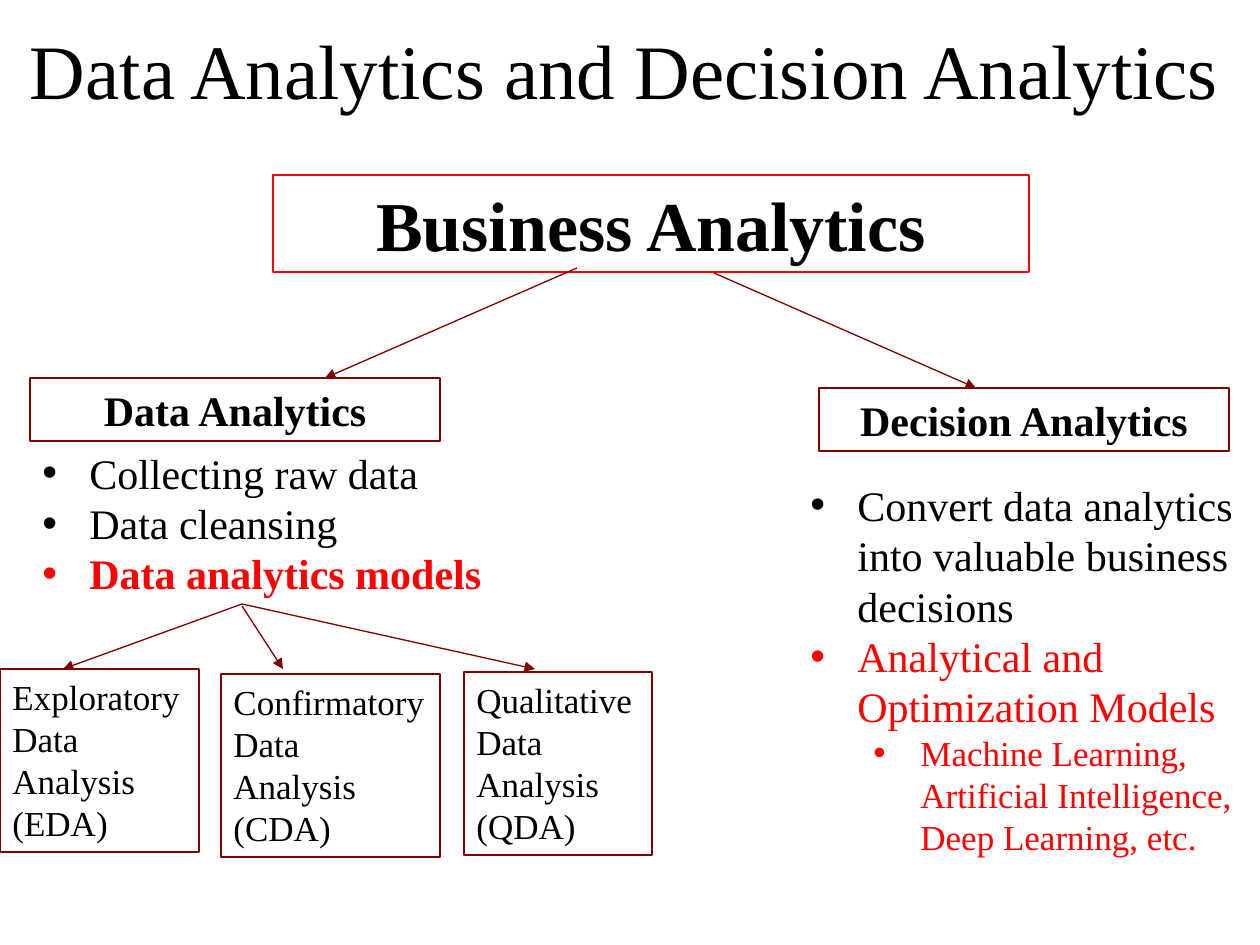
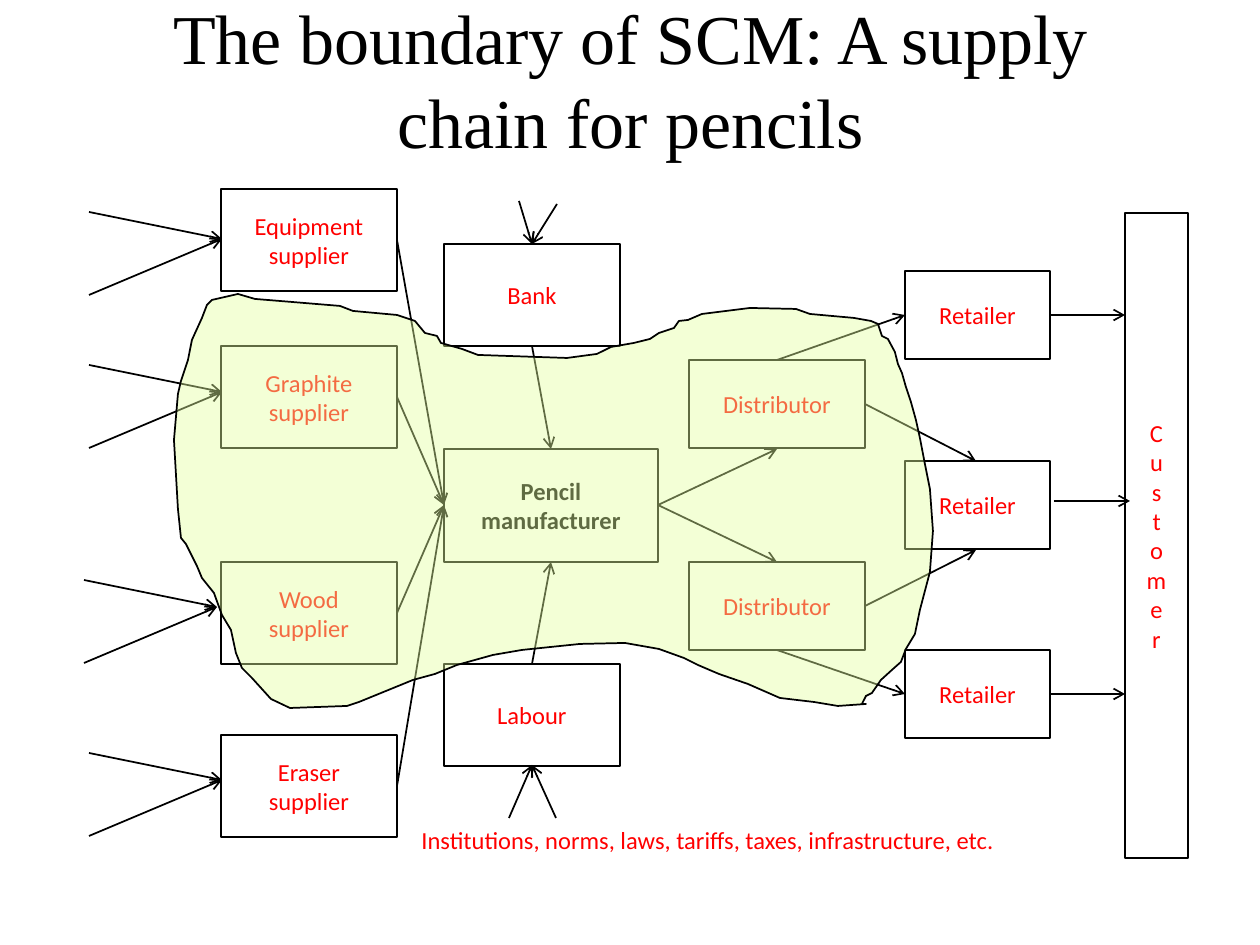
from dataclasses import dataclass
from typing import Any

from lxml import etree
from pptx import Presentation
from pptx import util as u
from pptx.dml.color import RGBColor
from pptx.enum import shapes, text
from pptx.oxml.ns import qn

PX = 914400 / 126
BLACK, RED, MAROON, LIME = "000000", "FF0000", "800000", "E4FF9F"
SERIF, SANS = "Times New Roman", "Calibri"
LEFT, CENTER = text.PP_ALIGN.LEFT, text.PP_ALIGN.CENTER
TOP, MIDDLE = text.MSO_ANCHOR.TOP, text.MSO_ANCHOR.MIDDLE


@dataclass(frozen=True)
class Area:
    """A rectangle in pixels."""
    x: int
    y: int
    w: int
    h: int

    def emu(self) -> list[int]:
        """Return left, top, width and height in EMU."""
        return [px(v) for v in (self.x, self.y, self.w, self.h)]


@dataclass(frozen=True)
class Node:
    """A labelled box of a diagram."""
    label: str
    area: Area
    size: int = 14
    color: str = RED
    bold: bool = False
    align: Any = CENTER
    line: str = MAROON


@dataclass(frozen=True)
class Item:
    """One bulleted paragraph."""
    label: str
    color: str = BLACK
    bold: bool = False
    size: int = 24
    level: int = 0


@dataclass(frozen=True)
class Arrow:
    """A straight arrow between two pixel positions."""
    x1: int
    y1: int
    x2: int
    y2: int


def px(value: float) -> int:
    """Turn pixels into EMU."""
    return round(value * PX)


def rgb(value: str) -> RGBColor:
    """Turn a hex string into a colour."""
    return RGBColor.from_string(value)


def write(p, label: str, *, size: int, font: str = SERIF, color: str = BLACK,
          bold: bool = False, align=LEFT) -> None:
    """Add a formatted run to a paragraph."""
    p.alignment = align
    r = p.add_run()
    r.text = label
    r.font.size, r.font.name, r.font.bold = u.Pt(size), font, bold
    r.font.color.rgb = rgb(color)


def add_title(prs, label: str, area: Area, size: int):
    """Add a title-only slide and format its title."""
    s = prs.slides.add_slide(prs.slide_layouts[5])
    sp = s.shapes.title
    sp.left, sp.top, sp.width, sp.height = area.emu()
    tf = sp.text_frame
    tf.auto_size, tf.word_wrap = text.MSO_AUTO_SIZE.NONE, True
    tf.vertical_anchor = MIDDLE
    write(tf.paragraphs[0], label, size=size, align=CENTER)
    return s


def add_box(s, node: Node, *, font: str, width: float, anchor, wrap: bool):
    """Draw an outlined box with its label, one paragraph per line."""
    sp = s.shapes.add_shape(shapes.MSO_SHAPE.RECTANGLE, *node.area.emu())
    sp.shadow.inherit = False
    sp.fill.background()
    sp.line.color.rgb, sp.line.width = rgb(node.line), u.Pt(width)
    tf = sp.text_frame
    tf.word_wrap, tf.vertical_anchor = wrap, anchor
    for i, label in enumerate(node.label.split("\n")):
        p = tf.add_paragraph() if i else tf.paragraphs[0]
        write(p, label, size=node.size, font=font, color=node.color,
              bold=node.bold, align=node.align)
    return sp


def add_arrow(s, arrow: Arrow, *, color: str, width: float, head: str) -> None:
    """Draw a straight connector with an arrowhead at its end."""
    ends = [px(v) for v in (arrow.x1, arrow.y1, arrow.x2, arrow.y2)]
    c = s.shapes.add_connector(shapes.MSO_CONNECTOR.STRAIGHT, *ends)
    c.line.color.rgb, c.line.width = rgb(color), u.Pt(width)
    etree.SubElement(c.line._get_or_add_ln(), qn("a:tailEnd"), type=head)
    etree.SubElement(c.element.spPr, qn("a:effectLst"))


def add_textbox(s, area: Area):
    """Add a wrapping text box and return its frame."""
    tf = s.shapes.add_textbox(*area.emu()).text_frame
    tf.word_wrap = True
    return tf


def add_bullets(s, area: Area, items: list[Item]) -> None:
    """Draw a bulleted list with hanging indents."""
    tf = add_textbox(s, area)
    for i, item in enumerate(items):
        p = tf.add_paragraph() if i else tf.paragraphs[0]
        write(p, item.label, size=item.size, color=item.color, bold=item.bold)
        p.level = item.level
        pPr = p._p.get_or_add_pPr()
        pPr.set("marL", str(px(47 + 63 * item.level)))
        pPr.set("indent", str(px(-47)))
        etree.SubElement(pPr, qn("a:buFont"), typeface="Arial")
        etree.SubElement(pPr, qn("a:buChar"), char="•")


def add_boundary(s, points: list[tuple[int, int]]) -> None:
    """Draw the translucent boundary outline."""
    fb = s.shapes.build_freeform(*points[0], scale=PX)
    fb.add_line_segments(points[1:], close=True)
    sp = fb.convert_to_shape()
    sp.shadow.inherit = False
    sp.fill.solid()
    sp.fill.fore_color.rgb = rgb(LIME)
    fill = sp.element.spPr.find(qn("a:solidFill"))
    etree.SubElement(fill[0], qn("a:alpha"), val="42000")
    sp.line.color.rgb, sp.line.width = rgb(BLACK), u.Pt(1)


ANALYTICS_NODES = [
    Node("Business Analytics", Area(273, 175, 756, 97), 40, BLACK, True, line=RED),
    Node("Data Analytics", Area(30, 378, 410, 63), 24, BLACK, True),
    Node("Decision Analytics", Area(819, 388, 410, 63), 24, BLACK, True),
    Node("Exploratory Data Analysis (EDA)", Area(0, 669, 199, 183), 20, BLACK, align=LEFT),
    Node("Confirmatory Data Analysis (CDA)", Area(221, 674, 219, 183), 20, BLACK, align=LEFT),
    Node("Qualitative Data Analysis (QDA)", Area(464, 672, 188, 183), 20, BLACK, align=LEFT),
]
ANALYTICS_ARROWS = [
    Arrow(577, 268, 325, 378), Arrow(714, 273, 976, 388),
    Arrow(242, 604, 63, 669), Arrow(242, 606, 283, 669), Arrow(242, 604, 535, 669),
]
DATA_ITEMS = [
    Item("Collecting raw data"),
    Item("Data cleansing"),
    Item("Data analytics models", RED, True),
]
DECISION_ITEMS = [
    Item("Convert data analytics into valuable business decisions"),
    Item("Analytical and Optimization Models", RED),
    Item("Machine Learning, Artificial Intelligence, Deep Learning, etc.",
         RED, size=20, level=1),
]

SUPPLIERS = {"Equipment": 189, "Graphite": 346, "Wood": 562, "Eraser": 735}
CHAIN_NODES = [
    *(Node("Retailer", Area(905, y, 145, 88), line=BLACK) for y in (271, 461, 650)),
    *(Node("Distributor", Area(689, y, 176, 88), line=BLACK) for y in (360, 562)),
    Node("Pencil\nmanufacturer", Area(444, 449, 214, 113), color=BLACK, bold=True, line=BLACK),
    *(Node(f"{name}\nsupplier", Area(221, y, 176, 102), line=BLACK)
      for name, y in SUPPLIERS.items()),
    Node("Bank", Area(444, 244, 176, 102), line=BLACK),
    Node("Labour", Area(444, 664, 176, 102), line=BLACK),
]
SOURCE_TIPS = [(222, 239), (222, 392), (217, 607), (222, 780)]
CHAIN_ARROWS = [
    *(Arrow(658, 505, 777, y) for y in (449, 562)),
    Arrow(777, 650, 905, 694), Arrow(777, 360, 905, 315),
    Arrow(865, 404, 976, 461), Arrow(865, 606, 976, 550),
    Arrow(1050, 315, 1125, 315), Arrow(1054, 501, 1130, 501), Arrow(1050, 694, 1125, 694),
    Arrow(532, 346, 551, 449), Arrow(532, 664, 551, 562),
    *(Arrow(397, y + 51, 444, 505) for y in SUPPLIERS.values()),
    *(Arrow(x - 133, y + dy, x, y) for x, y in SOURCE_TIPS for dy in (-27, 56)),
    Arrow(509, 818, 532, 765), Arrow(556, 818, 532, 765),
    Arrow(519, 201, 532, 244), Arrow(557, 204, 532, 244),
]
BOUNDARY = [
    (862, 704), (866, 696), (872, 693), (881, 680), (892, 670), (901, 662),
    (906, 649), (915, 634), (920, 610), (925, 591), (930, 572), (933, 531),
    (930, 489), (925, 464), (920, 438), (916, 420), (911, 402), (906, 387),
    (902, 373), (898, 364), (895, 352), (888, 339), (882, 336), (878, 324),
    (871, 321), (854, 318), (810, 314), (796, 309), (750, 308), (702, 314),
    (688, 320), (679, 321), (674, 328), (659, 333), (650, 339), (634, 343),
    (611, 347), (597, 354), (567, 358), (478, 355), (462, 349), (441, 343),
    (437, 336), (425, 333), (415, 321), (397, 315), (353, 311), (340, 306),
    (292, 302), (255, 299), (238, 294), (212, 300), (207, 305), (202, 318),
    (192, 340), (188, 360), (181, 381), (178, 394), (174, 440), (178, 509),
    (181, 538), (186, 544), (197, 566), (202, 578), (214, 593), (222, 615),
    (231, 630), (236, 653), (242, 668), (252, 678), (271, 699), (290, 708),
    (347, 706), (359, 702), (391, 689), (413, 680), (435, 674), (457, 665),
    (493, 655), (522, 650), (580, 644), (625, 643), (659, 649), (684, 658),
    (698, 665), (719, 674), (748, 684), (780, 698), (814, 702), (838, 706),
    (866, 704),
]


def analytics_slide(prs) -> None:
    """Build the analytics tree."""
    s = add_title(prs, "Data Analytics and Decision Analytics", Area(0, -10, 1250, 158), 44)
    for node in ANALYTICS_NODES:
        sp = add_box(s, node, font=SERIF, width=0.75, anchor=TOP, wrap=True)
        sp.text_frame.auto_size = text.MSO_AUTO_SIZE.SHAPE_TO_FIT_TEXT
    for arrow in ANALYTICS_ARROWS:
        add_arrow(s, arrow, color=MAROON, width=0.75, head="triangle")
    add_bullets(s, Area(30, 441, 527, 165), DATA_ITEMS)
    add_bullets(s, Area(798, 473, 462, 394), DECISION_ITEMS)


def chain_slide(prs) -> None:
    """Build the pencil supply chain and its boundary."""
    s = add_title(prs, "The boundary of SCM: A supply chain for pencils",
                  Area(95, 0, 1071, 158), 40)
    customer = Node("Customer", Area(1125, 213, 63, 645), line=BLACK)
    for node in [customer, *CHAIN_NODES]:
        sp = add_box(s, node, font=SANS, width=1, anchor=MIDDLE, wrap=False)
        if node is customer:
            sp.element.txBody.bodyPr.set("vert", "wordArtVert")
    for arrow in CHAIN_ARROWS:
        add_arrow(s, arrow, color=BLACK, width=1, head="arrow")
    tf = add_textbox(s, Area(409, 819, 830, 43))
    write(tf.paragraphs[0], "Institutions, norms, laws, tariffs, taxes, infrastructure, etc.",
          size=14, font=SANS, color=RED)
    add_boundary(s, BOUNDARY)


def main() -> None:
    """Build and save the presentation."""
    prs = Presentation()
    prs.slide_width, prs.slide_height = u.Inches(10), u.Inches(7.5)
    analytics_slide(prs)
    chain_slide(prs)
    prs.save("out.pptx")


main()
